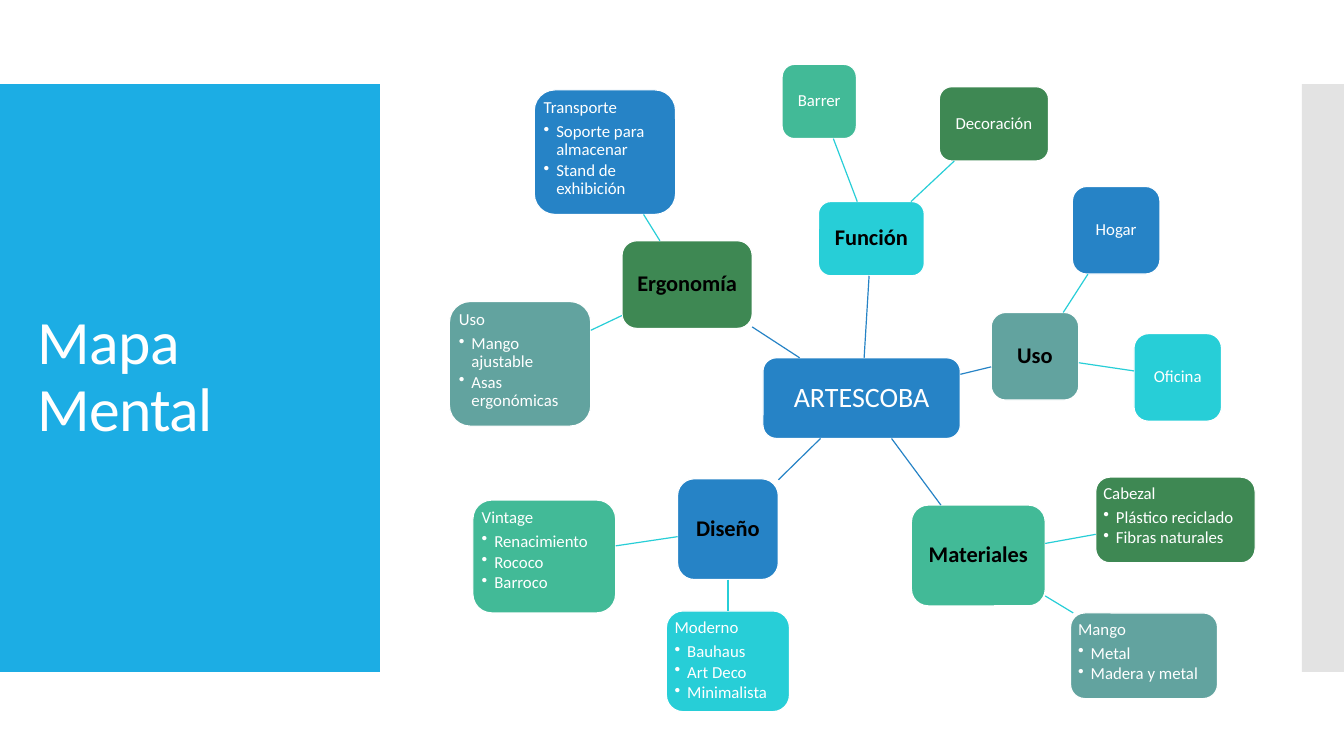
from dataclasses import dataclass

from lxml.etree import SubElement
from pptx import Presentation
from pptx.dml.color import RGBColor
from pptx.enum.shapes import MSO_CONNECTOR, MSO_SHAPE
from pptx.enum.text import MSO_ANCHOR, PP_ALIGN
from pptx.oxml.ns import qn
from pptx.util import Pt


@dataclass(frozen=True)
class Theme:
    """Colours, font and type sizes of the slide."""
    face: str = "Calibri"
    title: int = 44
    core: int = 20
    branch: int = 16
    leaf: int = 12
    line: float = 0.85
    white: str = "FFFFFF"
    black: str = "000000"
    sky: str = "1CADE4"
    grey: str = "C8C8C8"
    blue: str = "2683C6"
    aqua: str = "27CED7"
    mint: str = "42BA97"
    green: str = "3E8853"
    sage: str = "62A39F"


THEME = Theme()

CORE = ("ARTESCOBA", THEME.blue, (224, 209.6, 141, 57.6))

BRANCHES = [
    ("Función", THEME.aqua, (263.6, 98, 75.6, 53), [
        ("Barrer", [], THEME.mint, (237.7, 0, 53, 53)),
        ("Decoración", [], THEME.green, (350, 16, 78, 53)),
    ]),
    ("Uso", THEME.sage, (387, 177.2, 62.6, 62.6), [
        ("Hogar", [], THEME.blue, (445, 87.2, 62.6, 62.6)),
        ("Oficina", [], THEME.aqua, (489, 192.3, 62.6, 62.6)),
    ]),
    ("Materiales", THEME.mint, (330, 314.8, 95.6, 72), [
        ("Cabezal", ["Plástico reciclado", "Fibras naturales"],
         THEME.green, (461.7, 294.8, 113.8, 61.2)),
        ("Mango", ["Metal", "Madera y metal"],
         THEME.sage, (443.7, 391.8, 105, 61.2)),
    ]),
    ("Diseño", THEME.blue, (163, 296, 72, 72), [
        ("Moderno", ["Bauhaus", "Art Deco", "Minimalista"],
         THEME.aqua, (155, 390.4, 88, 72)),
        ("Vintage", ["Renacimiento", "Rococo", "Barroco"],
         THEME.mint, (16.8, 311.2, 102, 80.6)),
    ]),
    ("Ergonomía", THEME.green, (123.3, 126, 93, 62.6), [
        ("Uso", ["Mango ajustable", "Asas ergonómicas"],
         THEME.sage, (0, 169.4, 101, 89)),
        ("Transporte", ["Soporte para almacenar", "Stand de exhibición"],
         THEME.blue, (60.6, 18.2, 101, 89)),
    ]),
]


def tint(code):
    """Turn a hex code into a colour."""
    return RGBColor.from_string(code)


def write(para, text, size, color=THEME.white, bold=False, after=0.0,
          align=PP_ALIGN.LEFT, bullet=False, track=0):
    """Put text in a paragraph with the given format."""
    if bullet:
        para.level = 1
        props = para._p.get_or_add_pPr()
        props.set("marL", str(Pt(9)))
        props.set("indent", str(-Pt(9)))
        SubElement(props, qn("a:buChar")).set("char", "•")
    para.alignment = align
    para.line_spacing = 0.9
    para.space_after = Pt(size * after)
    run = para.add_run()
    run.text = text
    font = run.font
    font.name, font.size, font.bold = THEME.face, Pt(size), bold
    font.color.rgb = tint(color)
    if track:
        run._r.get_or_add_rPr().set("spc", str(track))


def block(slide, kind, box, color):
    """Draw a filled shape without line or shadow."""
    shape = slide.shapes.add_shape(kind, *map(Pt, box))
    shape.shadow.inherit = False
    shape.fill.solid()
    shape.fill.fore_color.rgb = tint(color)
    shape.line.fill.background()
    return shape


def panel(slide, box):
    """Draw the title panel and its heading."""
    x, y, w, h = box
    block(slide, MSO_SHAPE.RECTANGLE, box, THEME.sky)
    area = (x + 20, y + 28.8, w - 39.5, h - 57.6)
    frame = slide.shapes.add_textbox(*map(Pt, area)).text_frame
    frame.word_wrap = True
    frame.vertical_anchor = MSO_ANCHOR.MIDDLE
    write(frame.paragraphs[0], "Mapa Mental", THEME.title, track=-60)


def strip(slide, box):
    """Draw the half clear strip at the right edge."""
    shape = block(slide, MSO_SHAPE.RECTANGLE, box, THEME.grey)
    color = shape._element.spPr.find(qn("a:solidFill"))[0]
    SubElement(color, qn("a:alpha")).set("val", "50000")


def node(slide, box, text, fill, size, points=(), **style):
    """Draw a round box with a label and its points."""
    shape = block(slide, MSO_SHAPE.ROUNDED_RECTANGLE, box, fill)
    shape.line.color.rgb = tint(THEME.white)
    shape.line.width = Pt(THEME.line)
    frame = shape.text_frame
    frame.word_wrap = True
    frame.margin_left = frame.margin_right = Pt(size * 0.2)
    frame.margin_top = frame.margin_bottom = Pt(size * 0.2)
    frame.vertical_anchor = MSO_ANCHOR.TOP if points else MSO_ANCHOR.MIDDLE
    align = PP_ALIGN.LEFT if points else PP_ALIGN.CENTER
    write(frame.paragraphs[0], text, size, after=0.35, align=align, **style)
    for point in points:
        write(frame.add_paragraph(), point, size, after=0.15, bullet=True)
    return shape


def edge(shape, dx, dy):
    """Find where a ray from the centre leaves the shape."""
    half_w, half_h = shape.width / 2, shape.height / 2
    scale = 1 / max(abs(dx) / half_w, abs(dy) / half_h)
    return (round(shape.left + half_w + dx * scale),
            round(shape.top + half_h + dy * scale))


def link(slide, start, end, color):
    """Join two nodes along the line between their centres."""
    dx = end.left + end.width / 2 - start.left - start.width / 2
    dy = end.top + end.height / 2 - start.top - start.height / 2
    line = slide.shapes.add_connector(
        MSO_CONNECTOR.STRAIGHT, *edge(start, dx, dy), *edge(end, -dx, -dy))
    if abs(dx) < Pt(0.5):
        line.begin_connect(start, 2)
        line.end_connect(end, 0)
    line.line.color.rgb = tint(color)
    line.line.width = Pt(THEME.line)
    SubElement(line._element.spPr, qn("a:effectLst"))


def mind(slide, box):
    """Draw the mind map inside the box."""
    def place(part):
        """Shift a part to the corner of the box."""
        return (box[0] + part[0], box[1] + part[1], *part[2:])

    text, fill, part = CORE
    core = node(slide, place(part), text, fill, THEME.core)
    for text, fill, part, leaves in BRANCHES:
        branch = node(slide, place(part), text, fill, THEME.branch,
                      color=THEME.black, bold=True)
        link(slide, core, branch, THEME.blue)
        for text, points, fill, part in leaves:
            leaf = node(slide, place(part), text, fill, THEME.leaf, points)
            link(slide, branch, leaf, THEME.aqua)


def main():
    """Build and save the slide."""
    deck = Presentation()
    deck.slide_width, deck.slide_height = Pt(960), Pt(540)
    slide = deck.slides.add_slide(deck.slide_layouts[6])
    panel(slide, (0, 60, 271.4, 420))
    strip(slide, (930, 60, 30, 420))
    mind(slide, (321, 46, 576, 464))
    deck.save("out.pptx")


if __name__ == "__main__":
    main()
